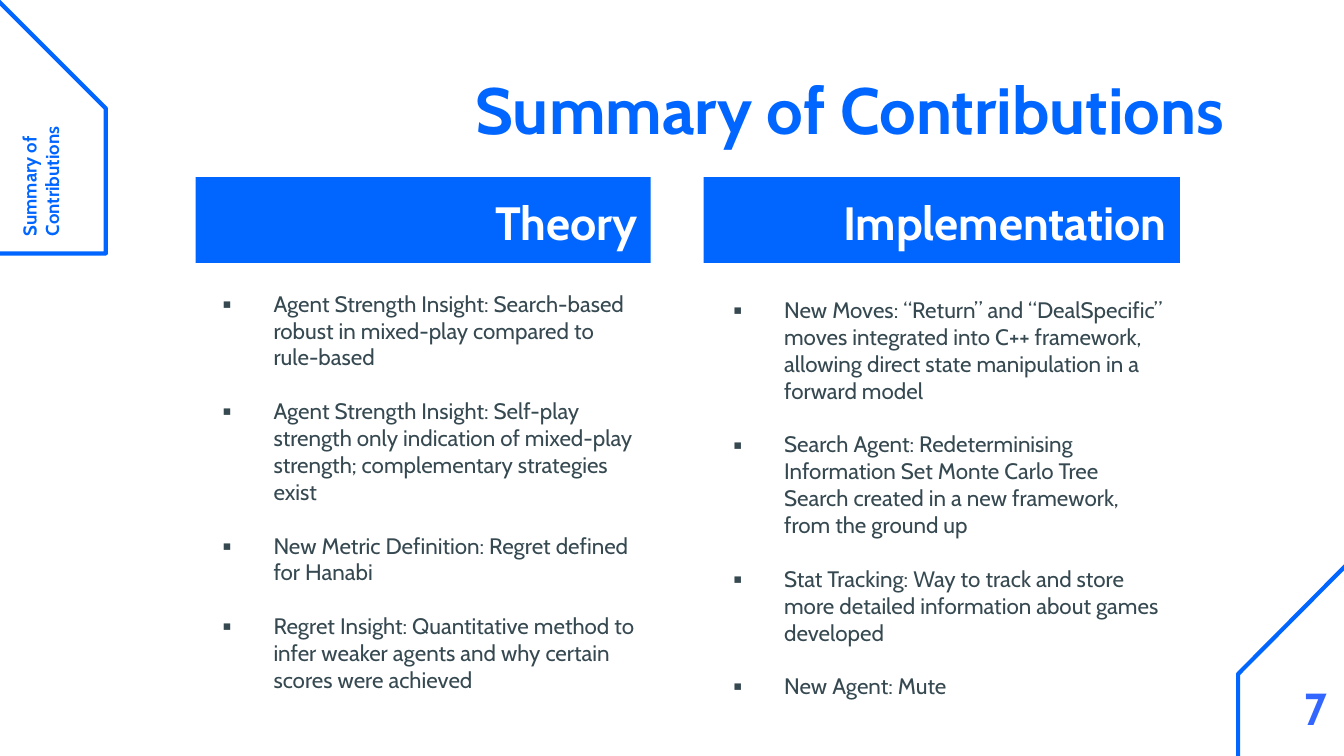
import dataclasses

import lxml.etree
import pptx
import pptx.dml.color
import pptx.enum.shapes
import pptx.enum.text
import pptx.oxml.ns
import pptx.util

Cm = pptx.util.Cm
Pt = pptx.util.Pt
Align = pptx.enum.text.PP_ALIGN
Anchor = pptx.enum.text.MSO_ANCHOR

COLORS = {"blue": "0066FF", "number": "3366FF", "body": "364951", "white": "FFFFFF"}
FONT = "Cabin"
INSET = 0.25
HEADER_TOP, HEADER_HEIGHT = 3.35, 1.62


@dataclasses.dataclass(frozen=True)
class Area:
    """A rectangle in centimetres."""
    left: float
    top: float
    width: float
    height: float

    def lengths(self) -> list[pptx.util.Length]:
        return [Cm(value) for value in dataclasses.astuple(self)]


@dataclasses.dataclass(frozen=True)
class Column:
    heading: str
    left: float
    width: float
    body: Area
    points: tuple[str, ...]


COLUMNS = (
    Column("Theory", 3.7, 8.6, Area(3.65, 5.23, 8.66, 6.88), (
        "Agent Strength Insight: Search-based robust in mixed-play compared to rule-based",
        "Agent Strength Insight: Self-play strength only indication of mixed-play strength; "
        "complementary strategies exist",
        "New Metric Definition: Regret defined for Hanabi",
        "Regret Insight: Quantitative method to infer weaker agents and why certain "
        "scores were achieved",
    )),
    Column("Implementation", 13.3, 9, Area(13.3, 5.35, 9, 7.39), (
        "New Moves: “Return” and “DealSpecific” moves integrated into C++ framework, "
        "allowing direct state manipulation in a forward model",
        "Search Agent: Redeterminising Information Set Monte Carlo Tree Search created "
        "in a new framework, from the ground up",
        "Stat Tracking: Way to track and store more detailed information about games developed",
        "New Agent: Mute",
    )),
)

# Closed outlines that bleed over the slide edges.
CORNER_OUTLINES = (
    ((26.19, 9.93), (23.4, 12.74), (23.4, 15.98),
     (27.58, 15.98), (29.9, 13.64), (27.38, 11.13)),
    ((-6.2, -6.15), (2, 2.05), (2, 4.79),
     (-4.65, 4.79), (-13.28, -3.89), (-14.33, -6.15)),
)


def rgb(name: str) -> pptx.dml.color.RGBColor:
    return pptx.dml.color.RGBColor.from_string(COLORS[name])


def add_bullet(para) -> None:
    properties = para._p.get_or_add_pPr()
    properties.set("marL", str(Cm(1.27)))
    properties.set("indent", str(Cm(-0.96)))
    qn = pptx.oxml.ns.qn
    color = lxml.etree.SubElement(properties, qn("a:buClr"))
    lxml.etree.SubElement(color, qn("a:srgbClr"), val=COLORS["body"])
    lxml.etree.SubElement(properties, qn("a:buFont"), typeface=FONT)
    lxml.etree.SubElement(properties, qn("a:buChar"), char="▪")


def write_text(shape, *texts: str, size: float, color: str, bold: bool = True,
               align=Align.LEFT, anchor=Anchor.TOP, bullets: bool = False,
               gap: float = 0, inset_y: float = INSET) -> None:
    """Write one paragraph per text, with gap points between them."""
    frame = shape.text_frame
    frame.word_wrap = True
    frame.vertical_anchor = anchor
    frame.margin_left = frame.margin_right = Cm(INSET)
    frame.margin_top = frame.margin_bottom = Cm(inset_y)
    for index, text in enumerate(texts):
        para = frame.add_paragraph() if index else frame.paragraphs[0]
        para.alignment = align
        para.space_before = Pt(gap if index else 0)
        if bullets:
            add_bullet(para)
        span = para.add_run()
        span.text = text
        span.font.name = FONT
        span.font.size = Pt(size)
        span.font.bold = bold
        span.font.color.rgb = rgb(color)


def add_text(slide, area: Area, *texts: str, rotation: float = 0, **text_format) -> None:
    box = slide.shapes.add_textbox(*area.lengths())
    box.rotation = rotation
    write_text(box, *texts, **text_format)


def add_outline(slide, points: tuple[tuple[float, float], ...]) -> None:
    start, *rest = [(Cm(x), Cm(y)) for x, y in points]
    builder = slide.shapes.build_freeform(*start)
    builder.add_line_segments(rest, close=True)
    outline = builder.convert_to_shape()
    outline.shadow.inherit = False
    outline.fill.background()
    outline.line.color.rgb = rgb("blue")
    outline.line.width = Pt(2.25)


def add_column(slide, column: Column) -> None:
    area = Area(column.left, HEADER_TOP, column.width, HEADER_HEIGHT)
    header = slide.shapes.add_shape(
        pptx.enum.shapes.MSO_SHAPE.RECTANGLE, *area.lengths())
    header.shadow.inherit = False
    header.fill.solid()
    header.fill.fore_color.rgb = rgb("blue")
    header.line.fill.background()
    write_text(header, column.heading, size=25, color="white",
               align=Align.RIGHT, anchor=Anchor.BOTTOM)
    add_text(slide, column.body, *column.points, size=12, color="body",
             bold=False, bullets=True, gap=14.4)


def main() -> None:
    deck = pptx.Presentation()
    deck.slide_width, deck.slide_height = Cm(25.4), Cm(14.29)
    slide = deck.slides.add_slide(deck.slide_layouts[6])
    for points in CORNER_OUTLINES:
        add_outline(slide, points)
    for column in COLUMNS:
        add_column(slide, column)
    title = "Summary of Contributions"
    add_text(slide, Area(7.35, 1.05, 16.05, 2.31), title,
             size=35, color="blue", align=Align.RIGHT)
    add_text(slide, Area(-0.87, 2.51, 3.28, 1.12), title,
             size=10, color="blue", rotation=270, inset_y=0.13)
    add_text(slide, Area(24.33, 12.74, 1.07, 1.27), "7",
             size=24, color="number", align=Align.CENTER, anchor=Anchor.MIDDLE)
    deck.save("out.pptx")


if __name__ == "__main__":
    main()
